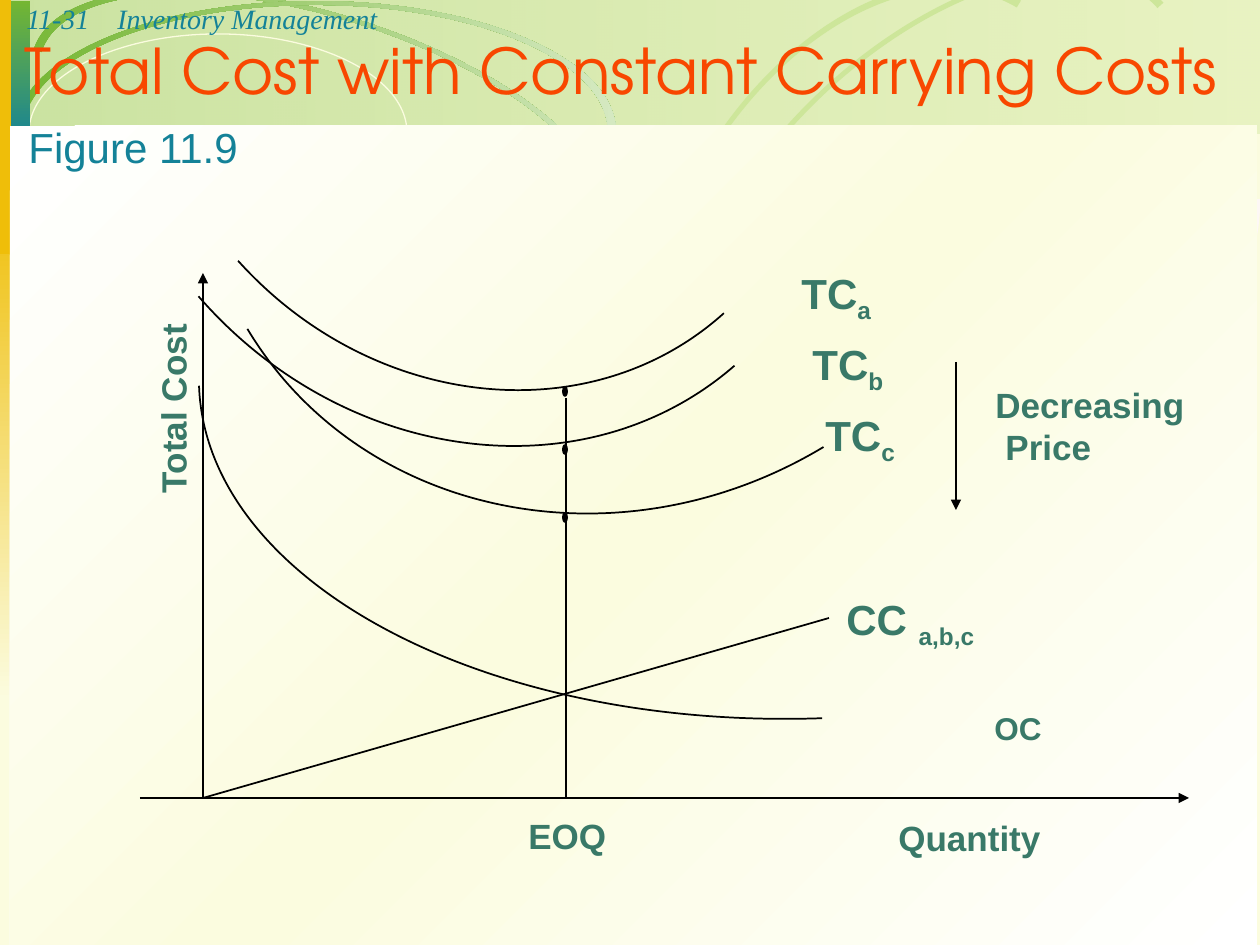
import pptx
import pptx.dml.color
import pptx.enum.shapes
import pptx.enum.text
import pptx.oxml
import pptx.oxml.ns
import pptx.util

SCALE = 914400 / 126  # EMU per px
CURVE = 0.5523  # control point distance of a quarter ellipse
COLORS = {
    "cream": "FBFCDF", "white": "FFFFFF", "black": "000000", "green": "74B632",
    "lime": "BCDD7B", "pale": "D5E9C1", "arc": "CDE69A", "teal": "148298",
    "gold": "EFBE09", "orange": "F84700", "label": "397968", "olive": "CEDE73",
    "mist": "ECF3D9", "blush": "FDF8F5",
}
SHAPES = pptx.enum.shapes.MSO_SHAPE
ALIGN = pptx.enum.text.PP_ALIGN
NAMESPACE = pptx.oxml.ns.nsdecls("a")


def style(shape, fill=None, line=None, width=1, angle=0):
    """Fill is None, a colour name, or a list of (position, colour, opacity) stops."""
    shape.shadow.inherit = False
    if fill is None:
        shape.fill.background()
    elif isinstance(fill, str):
        shape.fill.solid()
        shape.fill.fore_color.rgb = pptx.dml.color.RGBColor.from_string(COLORS[fill])
    else:
        shape.fill.gradient()
        shape.fill.gradient_angle = -angle % 360
        stop_list = shape._element.spPr.find(".//" + pptx.oxml.ns.qn("a:gsLst"))
        for old_stop in list(stop_list):
            stop_list.remove(old_stop)
        for position, color, opacity in fill:
            alpha = f'<a:alpha val="{opacity * 1000}"/>' if opacity < 100 else ""
            stop_list.append(pptx.oxml.parse_xml(
                f'<a:gs {NAMESPACE} pos="{position * 1000}">'
                f'<a:srgbClr val="{COLORS[color]}">{alpha}</a:srgbClr></a:gs>'))
    if line:
        shape.line.color.rgb = pptx.dml.color.RGBColor.from_string(COLORS[line])
        shape.line.width = pptx.util.Pt(width)
    else:
        shape.line.fill.background()


def draw_path(box, rotation, start, segments, closed=False):
    """Segments are in the unrotated box: three points for a curve, one for a line."""
    left, top, width, height = box
    points = [(left + x, top + y) for segment in segments for x, y in segment]
    builder = slide.shapes.build_freeform(left + start[0], top + start[1], scale=SCALE)
    builder.add_line_segments(points, close=closed)
    shape = builder.convert_to_shape()
    outline = shape._element.spPr.find(".//" + pptx.oxml.ns.qn("a:path"))
    lines = iter(outline.findall(pptx.oxml.ns.qn("a:lnTo")))
    for segment in segments:
        parts = [next(lines) for _ in segment]
        if len(parts) == 3:
            curve = pptx.oxml.parse_xml(f"<a:cubicBezTo {NAMESPACE}/>")
            parts[0].addprevious(curve)
            for part in parts:
                curve.append(part[0])
                outline.remove(part)
    outline.set("w", str(width))
    outline.set("h", str(height))
    shape.width, shape.height = round(width * SCALE), round(height * SCALE)
    shape.rotation = rotation
    return shape


presentation = pptx.Presentation()
presentation.slide_width = round(1260 * SCALE)
presentation.slide_height = round(945 * SCALE)
slide = presentation.slides.add_slide(presentation.slide_layouts[6])
slide.background.fill.solid()
slide.background.fill.fore_color.rgb = pptx.dml.color.RGBColor.from_string(COLORS["cream"])

# Backdrop from back to front: preset shapes, half-ellipse bands, quarter-ellipse arcs
swoosh = [(0, "green", 100), (100, "pale", 100)]
strip_colors = ["teal", "olive", "gold", "orange", "cream"]
strips = [
    (SHAPES.RECTANGLE, (left, 134, width, 10), 0,
     dict(fill=[(0, first, 100), (100, second, 100)]))
    for left, width, first, second in zip(
        (10, 239, 470, 699), (232, 232, 232, 460), strip_colors, strip_colors[1:])
]
curve_line = dict(line="black")
figures = [
    (SHAPES.RECTANGLE, (1, 0, 1260, 134), 0,
     dict(fill=[(0, "green", 36), (100, "lime", 29)])),
    ("band", (20, 14, 601, 251), 17.5, dict(fill=swoosh, angle=342)),
    (SHAPES.OVAL, (29, 34, 378, 197), 0, dict(line="cream", width=0.75)),
    ("rising arc", (24, 200, 1230, 498), 0, dict(line="mist", width=6)),
    ("rising arc", (25, 199, 1230, 498), 0, dict(line="blush", width=6)),
    (SHAPES.RECTANGLE, (0, 195, 28, 505), 0,
     dict(fill=[(0, "gold", 100), (100, "cream", 100)], angle=90)),
    ("band", (639, 40, 601, 326), 318.2, dict(fill="arc")),
    ("band", (567, 66, 601, 386), 300.7, dict(fill="arc")),
    ("band", (15, 1, 601, 261), 0, dict(fill=swoosh)),
    (SHAPES.RECTANGLE, (1, 1, 29, 144), 0,
     dict(fill=[(0, "green", 100), (100, "teal", 100)], angle=90)),
    (SHAPES.RECTANGLE, (0, 0, 11, 254), 0, dict(fill="gold")),
    *strips,
    (SHAPES.RECTANGLE, (10, 126, 1247, 819), 0,
     dict(fill=[(0, "white", 100), (50, "cream", 100), (100, "white", 100)], angle=45)),
    # Cost curves TCa, TCb, OC and TCc
    ("falling arc", (318, 105, 326, 364), 138, curve_line),
    ("falling arc", (287, 129, 359, 404), 139, curve_line),
    ("bottom arc", (205, 375, 611, 354), 358, curve_line),
    ("falling arc", (319, 189, 433, 398), 149, curve_line),
    *((SHAPES.OVAL, (563, top, 4, 9), 0, dict(fill="black", line="black"))
      for top in (387, 445, 513)),
]
for kind, box, rotation, look in figures:
    width, height = box[2:]
    if kind == "band":
        middle = height / 2
        halves = []
        for inset, direction in ((0.014, 1), (0, -1)):
            radius_x, radius_y = width * (0.5 - inset), height * (0.5 - inset)
            x, y = [width / 2 + direction * radius_x * s for s in (-1, -CURVE, 0, CURVE, 1)], [
                middle - radius_y * s for s in (0, CURVE, 1)]
            halves.append([[(x[0], y[1]), (x[1], y[2]), (x[2], y[2])],
                           [(x[3], y[2]), (x[4], y[1]), (x[4], y[0])]])
        inner, outer = halves
        shape = draw_path(box, rotation, (width * 0.014, middle),
                          [*inner, [(width, middle)], *outer], closed=True)
    elif isinstance(kind, str):
        start, bend, end = {
            "falling arc": ((0, 0), (width, 0), (width, height)),
            "rising arc": ((0, height), (width, height), (width, 0)),
            "bottom arc": ((width, height), (0, height), (0, 0)),
        }[kind]
        controls = [tuple(a + CURVE * (b - a) for a, b in zip(point, bend))
                    for point in (start, end)]
        shape = draw_path(box, rotation, start, [[*controls, end]])
    else:
        shape = slide.shapes.add_shape(kind, *(round(px * SCALE) for px in box))
    style(shape, **look)

# Axes, carrying cost, EOQ line and price arrow
for ends, arrow in [
    ((203, 798, 203, 273), True),
    ((140, 798, 1189, 798), True),
    ((203, 798, 829, 618), False),
    ((566, 398, 566, 798), False),
    ((956, 362, 956, 510), True),
]:
    connector = slide.shapes.add_connector(
        pptx.enum.shapes.MSO_CONNECTOR.STRAIGHT, *(round(px * SCALE) for px in ends))
    connector.line.color.rgb = pptx.dml.color.RGBColor.from_string(COLORS["black"])
    connector.line.width = pptx.util.Pt(1)
    if arrow:
        connector.line._get_or_add_ln().append(
            pptx.oxml.parse_xml(f'<a:tailEnd {NAMESPACE} type="triangle"/>'))
    connector._element.spPr.append(pptx.oxml.parse_xml(f"<a:effectLst {NAMESPACE}/>"))

# Texts: box, lines of (text, subscript, indent), format
header = dict(size=16, name="Times New Roman", color="teal", italic=True)
title = dict(size=36, name="TeX Gyre Adventor", color="orange")
caption = dict(size=24, name="Arial", color="teal")
small, medium, large = (
    dict(size=size, name="Arial", color="label", bold=True) for size in (18, 20, 24))
texts = [
    ((14, -5, 141, 47), [("11-31", "", 0)], header),
    ((105, -5, 1071, 47), [("Inventory Management", "", 0)], header),
    ((0, 48, 1260, 65), [("Total Cost with Constant Carrying Costs ", "", 0)], title),
    ((16, 115, 273, 63), [("Figure 11.9", "", 0)], caption),
    ((982, 703, 80, 50), [("OC", "", 0)], small),
    ((516, 808, 115, 54), [("EOQ", "", 0)], medium),
    ((886, 810, 290, 54), [("Quantity", "", 0)], medium),
    ((58, 364, 229, 54), [("Total Cost", "", 0)], medium),
    ((983, 377, 230, 96), [("Decreasing", "", 0), ("Price", "", 10)], medium),
    ((789, 261, 107, 69), [("TC", "a", 0)], large),
    ((800, 332, 107, 69), [("TC", "b", 0)], large),
    ((813, 403, 115, 69), [("TC", "c", 0)], large),
    ((834, 587, 168, 69), [("CC ", "a,b,c", 0)], large),
]
for box, lines, values in texts:
    text_box = slide.shapes.add_textbox(*(round(px * SCALE) for px in box))
    frame = text_box.text_frame
    frame.word_wrap = True
    if values is title:
        frame.vertical_anchor = pptx.enum.text.MSO_ANCHOR.BOTTOM
    if lines[0][0] == "Total Cost":
        text_box.rotation = 270
    for index, (text, subscript, indent) in enumerate(lines):
        paragraph = frame.add_paragraph() if index else frame.paragraphs[0]
        paragraph.alignment = ALIGN.CENTER if values is title else ALIGN.LEFT
        if indent:
            paragraph._p.get_or_add_pPr().set("marL", str(round(indent * SCALE)))
        for part, baseline in ((text, 0), (subscript, -25000)):
            if not part:
                continue
            run = paragraph.add_run()
            run.text = part
            for key, value in values.items():
                if key == "color":
                    run.font.color.rgb = pptx.dml.color.RGBColor.from_string(COLORS[value])
                else:
                    setattr(run.font, key, pptx.util.Pt(value) if key == "size" else value)
            if baseline:
                run._r.get_or_add_rPr().set("baseline", str(baseline))

presentation.save("out.pptx")
